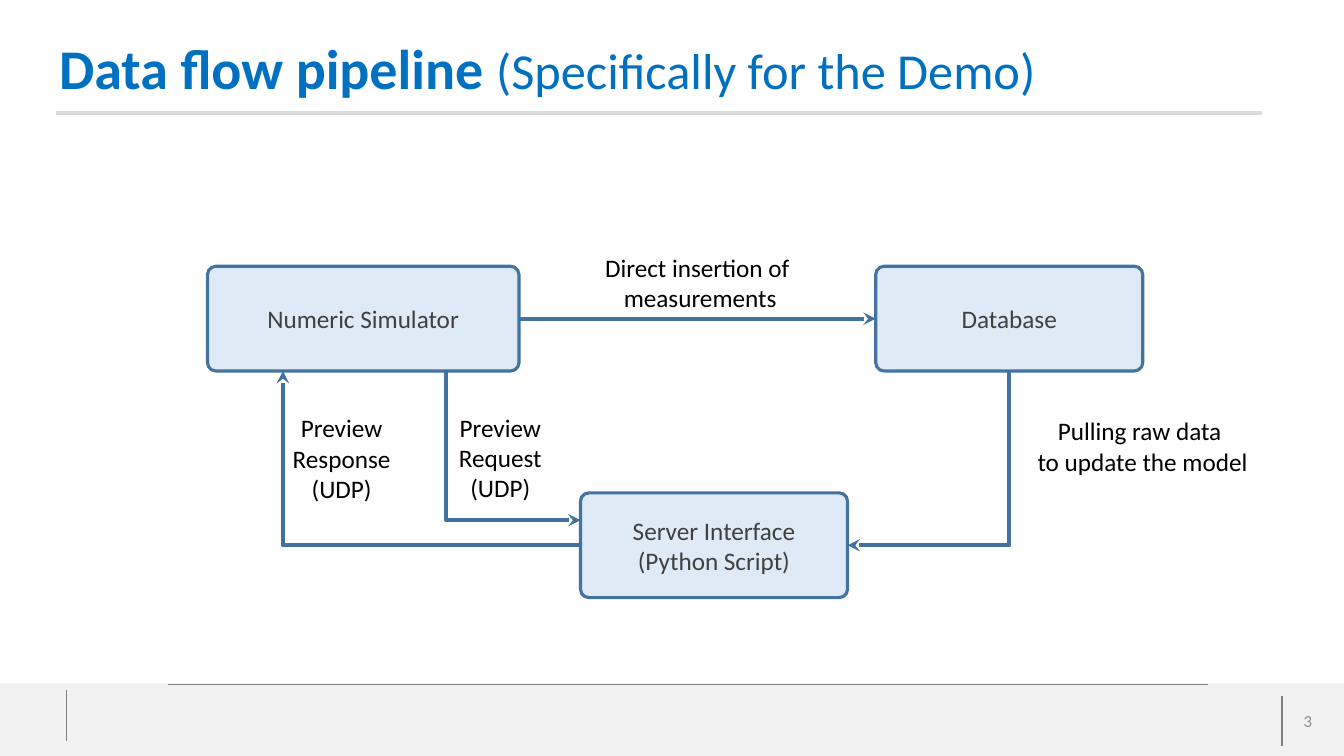
from dataclasses import dataclass
from typing import Optional

from lxml.etree import SubElement
from pptx import Presentation
from pptx.dml.color import RGBColor
from pptx.enum.shapes import MSO_CONNECTOR as Link, MSO_SHAPE as Preset
from pptx.enum.text import MSO_ANCHOR as Anchor, PP_ALIGN as Align
from pptx.oxml.ns import qn
from pptx.shapes.connector import Connector
from pptx.slide import Slide
from pptx.text.text import TextFrame
from pptx.util import Cm, Pt

FONT = "Calibri"
TITLE_BLUE = RGBColor(0x00, 0x70, 0xC0)
BOX_FILL = RGBColor(0xDE, 0xEB, 0xF7)
BOX_EDGE = RGBColor(0x43, 0x73, 0x9E)
FLOW_BLUE = RGBColor(0x41, 0x71, 0x9C)
BOX_TEXT = RGBColor(0x40, 0x40, 0x40)
BLACK = RGBColor(0x00, 0x00, 0x00)
BAND_GRAY = RGBColor(0xF2, 0xF2, 0xF2)
RULE_GRAY = RGBColor(0x80, 0x80, 0x80)
TITLE_RULE_GRAY = RGBColor(0xDB, 0xDB, 0xDB)
NUMBER_GRAY = RGBColor(0x8C, 0x8C, 0x8C)


@dataclass
class Component:
    text: str
    left: float
    top: float
    width: float
    height: float = 2.64


@dataclass
class Label:
    text: str
    left: float
    top: float
    width: float
    height: float
    size: int = 18
    color: RGBColor = BLACK


@dataclass
class Rule:
    x1: float
    y1: float
    x2: float
    y2: float
    color: RGBColor = RULE_GRAY
    weight: float = 1


@dataclass
class Flow:
    x1: float
    y1: float
    x2: float
    y2: float
    turn: Optional[int] = None
    mirrored: bool = False


RULES = [
    Rule(4.24, 17.25, 30.45, 17.25),
    Rule(32.31, 18.8, 32.31, 17.53),
    Rule(1.68, 18.67, 1.68, 17.4),
    Rule(1.4, 2.84, 31.8, 2.84, TITLE_RULE_GRAY, 3),
]
COMPONENTS = [
    Component("Numeric Simulator", 5.23, 6.71, 7.85),
    Component("Server Interface\n(Python Script)", 14.63, 12.42, 6.73),
    Component("Database", 22.07, 6.71, 6.73),
]
FLOWS = [
    Flow(13.08, 8.03, 22.07, 8.03),
    Flow(25.43, 9.35, 21.36, 13.74, 90),
    Flow(14.63, 13.74, 7.13, 9.35, 180),
    Flow(11.25, 9.35, 14.63, 13.11, 270, True),
]
LABELS = [
    Label("Direct insertion of\v measurements", 14.96, 6.22, 5.23, 1.8),
    Label("Pulling raw data \vto update the model", 25.86, 10.34, 5.87, 1.8),
    Label("Preview\vResponse\n(UDP)", 7.11, 10.26, 3, 2.57),
    Label("Preview\vRequest\v(UDP)", 11.3, 10.24, 2.62, 2.57),
    Label("3", 32.31, 17.65, 1.3, 1.02, 12, NUMBER_GRAY),
]


def write_centred(frame: TextFrame, text: str, size: int, color: RGBColor) -> None:
    frame.text = text
    frame.vertical_anchor = Anchor.MIDDLE
    for paragraph in frame.paragraphs:
        paragraph.alignment = Align.CENTER
        paragraph.font.name = FONT
        paragraph.font.size = Pt(size)
        paragraph.font.color.rgb = color


def draw_band(slide: Slide) -> None:
    band = slide.shapes.add_shape(Preset.RECTANGLE, 0, Cm(17.22), Cm(33.87), Cm(1.83))
    band.shadow.inherit = False
    band.fill.solid()
    band.fill.fore_color.rgb = BAND_GRAY
    band.line.fill.background()


def draw_title(slide: Slide) -> None:
    frame = slide.shapes.add_textbox(Cm(1.24), Cm(-0.05), Cm(32.56), Cm(3.68)).text_frame
    frame.word_wrap = True
    frame.vertical_anchor = Anchor.MIDDLE
    heading = frame.paragraphs[0]
    heading.line_spacing = 0.9
    heading.font.name = FONT
    heading.font.color.rgb = TITLE_BLUE
    for text, size, bold in (
        ("Data flow pipeline ", 40, True),
        ("(Specifically for the Demo)", 36, False),
    ):
        part = heading.add_run()
        part.text = text
        part.font.size = Pt(size)
        part.font.bold = bold


def draw_rule(slide: Slide, rule: Rule) -> Connector:
    line = slide.shapes.add_connector(
        Link.STRAIGHT, Cm(rule.x1), Cm(rule.y1), Cm(rule.x2), Cm(rule.y2)
    )
    line.line.color.rgb = rule.color
    line.line.width = Pt(rule.weight)
    SubElement(line._element.spPr, qn("a:effectLst"))
    return line


def draw_component(slide: Slide, component: Component) -> None:
    box = slide.shapes.add_shape(
        Preset.ROUNDED_RECTANGLE, Cm(component.left), Cm(component.top),
        Cm(component.width), Cm(component.height),
    )
    box.adjustments[0] = 0.08
    box.shadow.inherit = False
    box.fill.solid()
    box.fill.fore_color.rgb = BOX_FILL
    box.line.color.rgb = BOX_EDGE
    box.line.width = Pt(2.25)
    write_centred(box.text_frame, component.text, 18, BOX_TEXT)


def bend(arrow: Connector, flow: Flow) -> None:
    width, height = abs(flow.x2 - flow.x1), abs(flow.y2 - flow.y1)
    if flow.turn in (90, 270):
        width, height = height, width
    arrow.left = Cm((flow.x1 + flow.x2 - width) / 2)
    arrow.top = Cm((flow.y1 + flow.y2 - height) / 2)
    arrow.width, arrow.height = Cm(width), Cm(height)
    properties = arrow._element.spPr
    frame = properties.find(qn("a:xfrm"))
    frame.set("rot", str(flow.turn * 60000))
    frame.set("flipH", str(int(flow.mirrored)))
    frame.set("flipV", "0")
    properties.find(qn("a:prstGeom")).set("prst", "bentConnector2")


def draw_flow(slide: Slide, flow: Flow) -> None:
    arrow = draw_rule(slide, Rule(flow.x1, flow.y1, flow.x2, flow.y2, FLOW_BLUE, 3))
    SubElement(arrow.line._get_or_add_ln(), qn("a:tailEnd"), type="stealth")
    if flow.turn is not None:
        bend(arrow, flow)


def draw_label(slide: Slide, label: Label) -> None:
    frame = slide.shapes.add_textbox(
        Cm(label.left), Cm(label.top), Cm(label.width), Cm(label.height)
    ).text_frame
    frame.word_wrap = False
    write_centred(frame, label.text, label.size, label.color)


def main() -> None:
    deck = Presentation()
    deck.slide_width, deck.slide_height = Cm(33.87), Cm(19.05)
    slide = deck.slides.add_slide(deck.slide_layouts[6])
    draw_band(slide)
    for rule in RULES:
        draw_rule(slide, rule)
    draw_title(slide)
    for component in COMPONENTS:
        draw_component(slide, component)
    for flow in FLOWS:
        draw_flow(slide, flow)
    for label in LABELS:
        draw_label(slide, label)
    deck.save("out.pptx")


if __name__ == "__main__":
    main()
